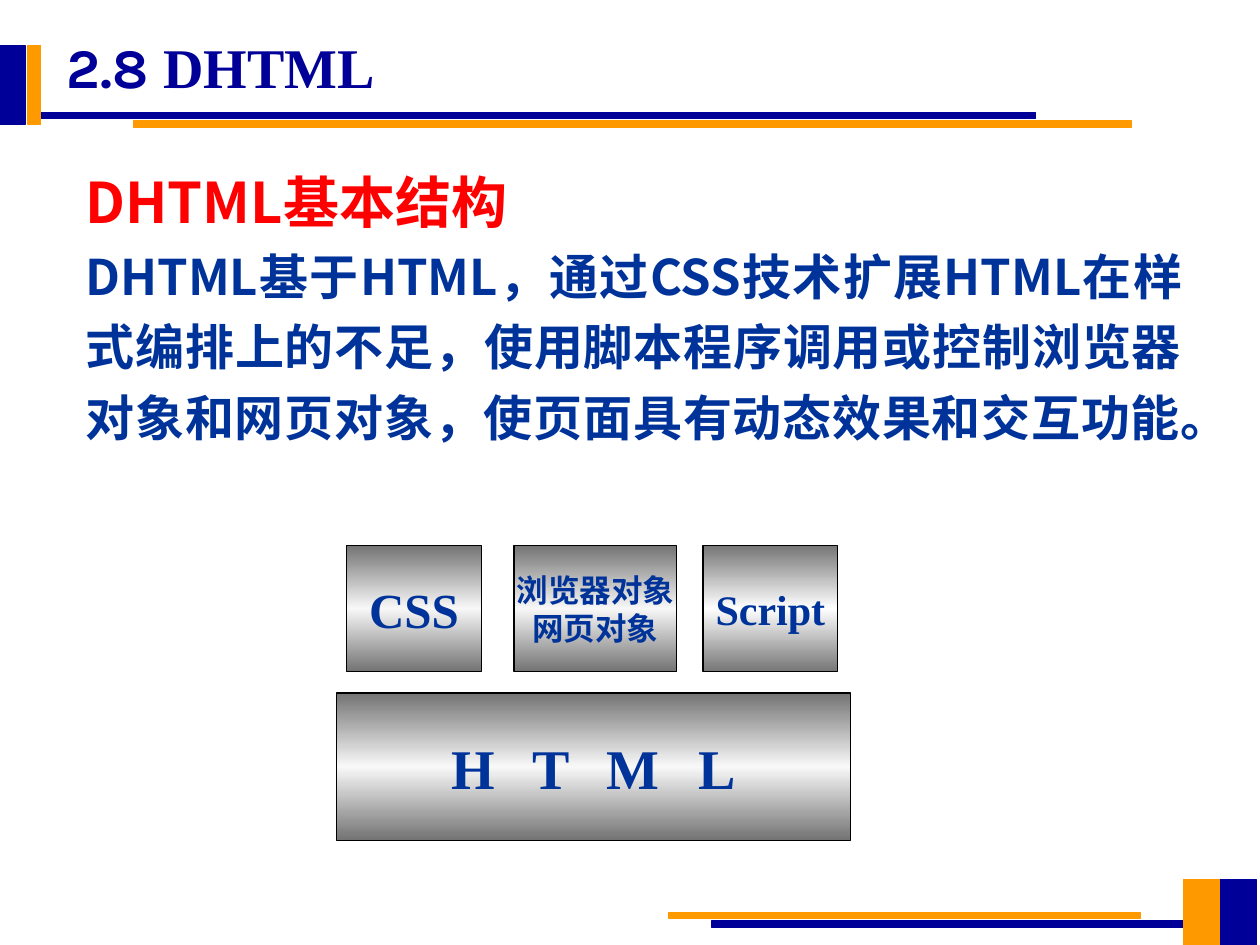
import copy
import pptx
import pptx.util
import pptx.dml.color
import pptx.enum.shapes
import pptx.enum.text
import pptx.oxml.ns
import lxml.etree

Inches = pptx.util.Inches
ALIGN = pptx.enum.text.PP_ALIGN
NAVY, GOLD, BLUE, RED = "000099", "FF9900", "003399", "FF0000"
SERIF, SANS = "Times New Roman", "Noto Sans CJK SC"


def color(code):
    return pptx.dml.color.RGBColor.from_string(code)


def write(para, text, size=28, font=SERIF, ink=BLUE, align=None, lead=None, gap=None):
    """Add a bold run to a paragraph; gap is letter spacing in points."""
    if align is not None:
        para.alignment = align
    if lead is not None:
        para.line_spacing = lead
    run = para.add_run()
    run.text = text
    run.font.size = pptx.util.Pt(size)
    run.font.bold = True
    run.font.name = font
    run.font.color.rgb = color(ink)
    props = run.font._element
    east = lxml.etree.SubElement(props, pptx.oxml.ns.qn("a:ea"))
    east.set("typeface", SANS)
    if gap is not None:
        props.set("spc", str(gap * 100))


def rect(slide, x, y, w, h, line):
    box = slide.shapes.add_shape(
        pptx.enum.shapes.MSO_SHAPE.RECTANGLE, Inches(x), Inches(y), Inches(w), Inches(h))
    box.shadow.inherit = False
    box.line.color.rgb = color(line)
    box.line.width = pptx.util.Pt(0.75)
    return box


def bar(slide, x, y, w, h, code):
    box = rect(slide, x, y, w, h, code)
    box.fill.solid()
    box.fill.fore_color.rgb = color(code)


def frame(slide, x, y, w, h):
    text = slide.shapes.add_textbox(Inches(x), Inches(y), Inches(w), Inches(h)).text_frame
    text.word_wrap = True
    text.auto_size = pptx.enum.text.MSO_AUTO_SIZE.SHAPE_TO_FIT_TEXT
    return text


def block(slide, x, y, w, h, lines, size, edge="737373", mid="F8F8F8", gap=None):
    """Metal block: dark edges, light middle, centred label."""
    box = rect(slide, x, y, w, h, "000000")
    box.fill.gradient()
    box.fill.gradient_angle = 90
    stops = box.fill._xPr.find(".//" + pptx.oxml.ns.qn("a:gsLst"))
    stops.insert(1, copy.deepcopy(stops[0]))
    for stop, place, code in zip(box.fill.gradient_stops, (0, 0.5, 1), (edge, mid, edge)):
        stop.position = place
        stop.color.rgb = color(code)
    text = box.text_frame
    text.word_wrap = False
    text.vertical_anchor = pptx.enum.text.MSO_ANCHOR.MIDDLE
    for i, line in enumerate(lines):
        para = text.add_paragraph() if i else text.paragraphs[0]
        write(para, line, size=size, align=ALIGN.CENTER, gap=gap)


def header(slide, x, y):
    # Rules and side tabs
    bar(slide, x + 0.3, y + 0.68, 7.92, 0.05, NAVY)
    bar(slide, x + 1.06, y + 0.75, 7.92, 0.05, GOLD)
    bar(slide, x, y + 0.15, 0.2, 0.63, NAVY)
    bar(slide, x + 0.22, y + 0.15, 0.1, 0.63, GOLD)
    # Title
    para = frame(slide, x + 0.43, y, 4.25, 0.64).paragraphs[0]
    write(para, "2.8 ", size=32, font="Karla", ink=NAVY)
    write(para, "DHTML", size=32, ink=NAVY)


def footer(slide, x, y):
    bar(slide, x + 4.37, y, 0.29, 0.52, NAVY)
    bar(slide, x, y + 0.26, 3.74, 0.05, GOLD)
    bar(slide, x + 0.34, y + 0.33, 3.74, 0.05, NAVY)
    bar(slide, x + 4.08, y, 0.29, 0.52, GOLD)


def body(slide, x, y, w, h):
    text = frame(slide, x, y, w, h)
    look = dict(font=SANS, align=ALIGN.JUSTIFY, lead=1.2)
    write(text.paragraphs[0], "DHTML基本结构", size=32, ink=RED, **look)
    write(text.add_paragraph(),
          "DHTML基于HTML，通过CSS技术扩展HTML在样式编排上的不足，"
          "使用脚本程序调用或控制浏览器对象和网页对象，"
          "使页面具有动态效果和交互功能。", **look)


def stack(slide, x, y):
    # Base layer
    block(slide, x, y + 1.17, 4.08, 1.17, ["H T M L"], 32, gap=7)
    # Parts on top
    block(slide, x + 0.08, y, 1.07, 1, ["CSS"], 28)
    block(slide, x + 1.41, y, 1.29, 1, ["浏览器对象", "网页对象"], 18)
    block(slide, x + 2.91, y, 1.07, 1, ["Script"], 24, edge="767676", mid="FFFFFF")


def main():
    deck = pptx.Presentation()
    deck.slide_width, deck.slide_height = Inches(10), Inches(7.5)
    slide = deck.slides.add_slide(deck.slide_layouts[6])
    header(slide, 0, 0.21)
    footer(slide, 5.31, 6.98)
    body(slide, 0.58, 1.17, 8.9, 2.98)
    stack(slide, 2.67, 4.33)
    deck.save("out.pptx")


if __name__ == "__main__":
    main()
